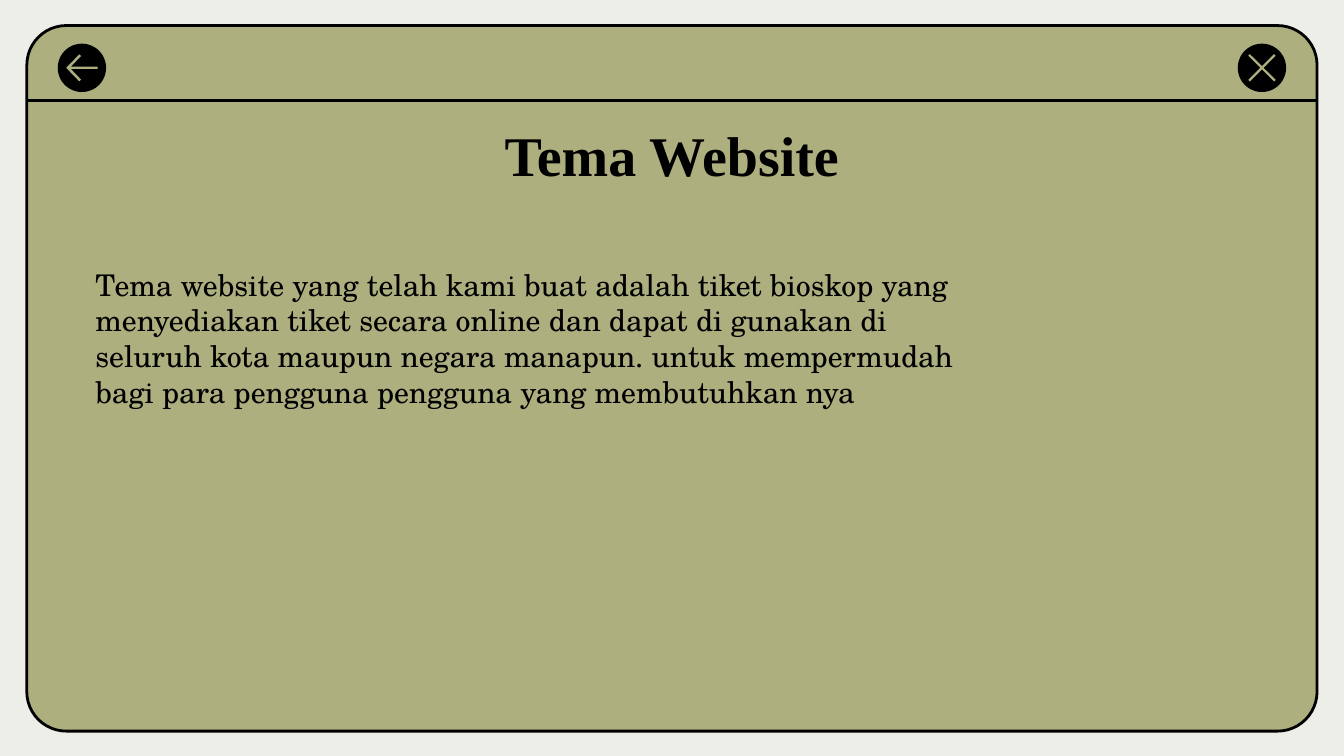
import pptx
import pptx.dml.color
import pptx.enum.shapes
import pptx.enum.text
import pptx.util
from lxml import etree

INK, OLIVE, PAPER = "000000", "ADAF7E", "EEEEE9"


def paint(fill, hex_color):
    fill.solid()
    fill.fore_color.rgb = pptx.dml.color.RGBColor.from_string(hex_color)


def write(placeholder, text, font, size, bold=False, align="LEFT", spacing=1.0):
    frame = placeholder.text_frame
    frame.text = text
    frame.word_wrap = True
    frame.auto_size = pptx.enum.text.MSO_AUTO_SIZE.NONE
    frame.vertical_anchor = pptx.enum.text.MSO_ANCHOR.MIDDLE
    frame.margin_left = frame.margin_right = 10 * cell
    frame.margin_top = frame.margin_bottom = 10 * cell
    paragraph = frame.paragraphs[0]
    paragraph.alignment = pptx.enum.text.PP_ALIGN[align]
    paragraph.line_spacing = spacing
    paragraph.space_before = pptx.util.Pt(0)
    run = paragraph.runs[0]
    run.font.name, run.font.size, run.font.bold = font, pptx.util.Pt(size), bold
    paint(run.font.fill, INK)
    run._r.get_or_add_rPr().set("kern", "0")
    return paragraph


presentation = pptx.Presentation()
presentation.slide_width = pptx.util.Inches(10)
presentation.slide_height = presentation.slide_width * 9 // 16
slide = presentation.slides.add_slide(presentation.slide_layouts[1])
paint(slide.background.fill, PAPER)
shapes = slide.shapes

# The grid has 1000 columns across the slide and square cells
cell = presentation.slide_width // 1000
left, right, top, bottom, bar = 20, 980, 19, 544, 75

# Browser window with its top bar
window = shapes.add_shape(
    pptx.enum.shapes.MSO_SHAPE.ROUNDED_RECTANGLE,
    left * cell, top * cell, (right - left) * cell, (bottom - top) * cell)
window.adjustments[0] = 0.056
window.shadow.inherit = False
paint(window.fill, OLIVE)

bar_edge = shapes.add_connector(
    pptx.enum.shapes.MSO_CONNECTOR.STRAIGHT,
    left * cell, bar * cell, right * cell, bar * cell)
etree.SubElement(bar_edge._element.spPr, pptx.oxml.ns.qn("a:effectLst"))
for outline in (window.line, bar_edge.line):
    paint(outline.fill, INK)
    outline.width = pptx.util.Pt(1.5)

# Text goes above the window
body, title = slide.placeholders[1], shapes.title
for placeholder, box in ((body, (61, 76, 679, 351)), (title, (78, 90, 844, 62))):
    placeholder.left, placeholder.top, placeholder.width, placeholder.height = (
        length * cell for length in box)
    shapes._spTree.append(placeholder._element)

write(title, "Tema Website", "Times New Roman", 30,
      bold=True, align="CENTER", spacing=0.7)
description = write(
    body,
    "Tema website yang telah kami buat adalah tiket bioskop yang menyediakan "
    "tiket secara online dan dapat di gunakan di seluruh kota maupun negara "
    "manapun. untuk mempermudah bagi para pengguna pengguna yang membutuhkan nya",
    "TeX Gyre Schola", 16)
properties = description._p.get_or_add_pPr()
properties.set("marL", "0")
properties.set("indent", "0")
etree.SubElement(properties, pptx.oxml.ns.qn("a:buNone"))

# Round buttons; signs are in tenths of a cell from the button's centre
back_sign = [(-20, -100), (-117, 0), (-20, 100), (-6, 88), (-82, 9),
             (117, 9), (117, -9), (-82, -9), (-6, -88)]
close_sign = [(-90, -102), (-102, -90), (-12, 0), (-102, 90), (-90, 102), (0, 12),
              (90, 102), (102, 90), (12, 0), (102, -90), (90, -102), (0, -12)]
radius, middle = 18, 50.5
for center, sign in ((61, back_sign), (939, close_sign)):
    button = shapes.add_shape(
        pptx.enum.shapes.MSO_SHAPE.OVAL, (center - radius) * cell,
        int((middle - radius) * cell), 2 * radius * cell, 2 * radius * cell)
    builder = shapes.build_freeform(*sign[0], scale=cell / 10)
    builder.add_line_segments(sign[1:], close=True)
    icon = builder.convert_to_shape(center * cell, int(middle * cell))
    for part, color in ((button, INK), (icon, OLIVE)):
        paint(part.fill, color)
        part.line.fill.background()
        part.shadow.inherit = False

presentation.save("out.pptx")
